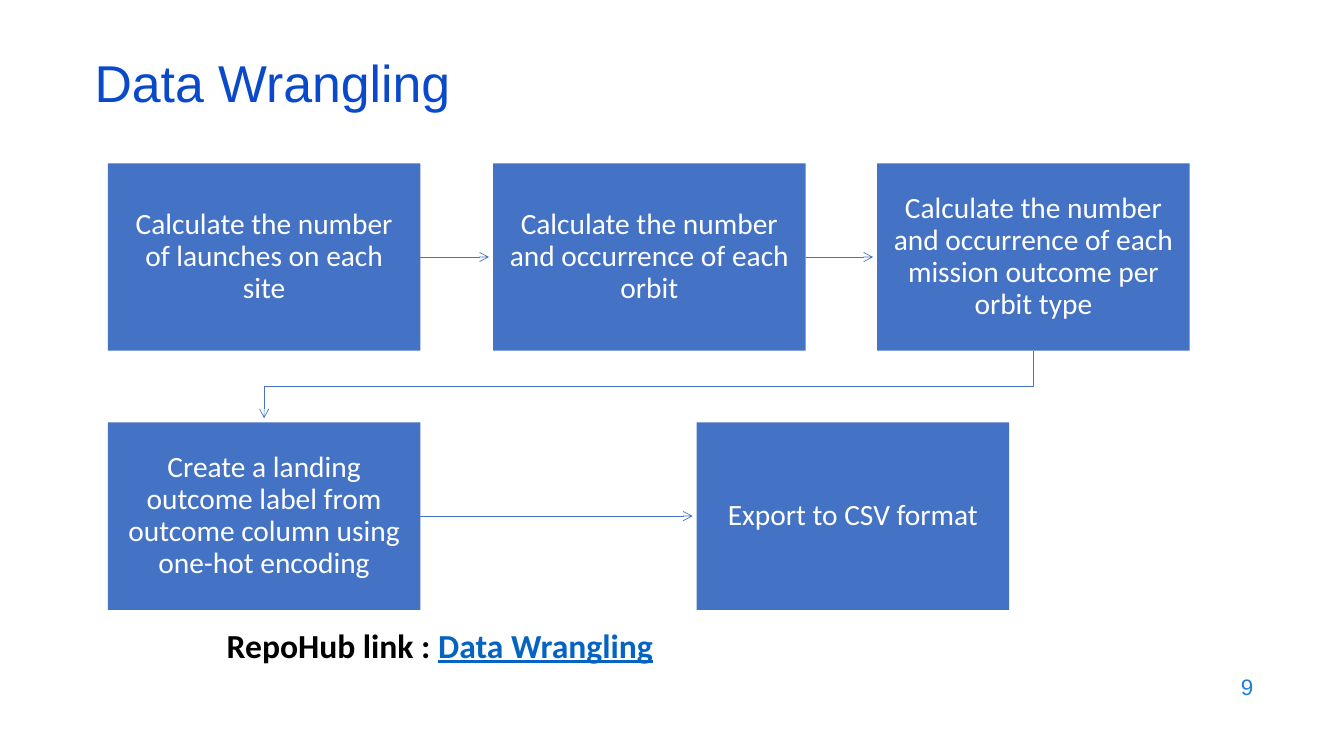
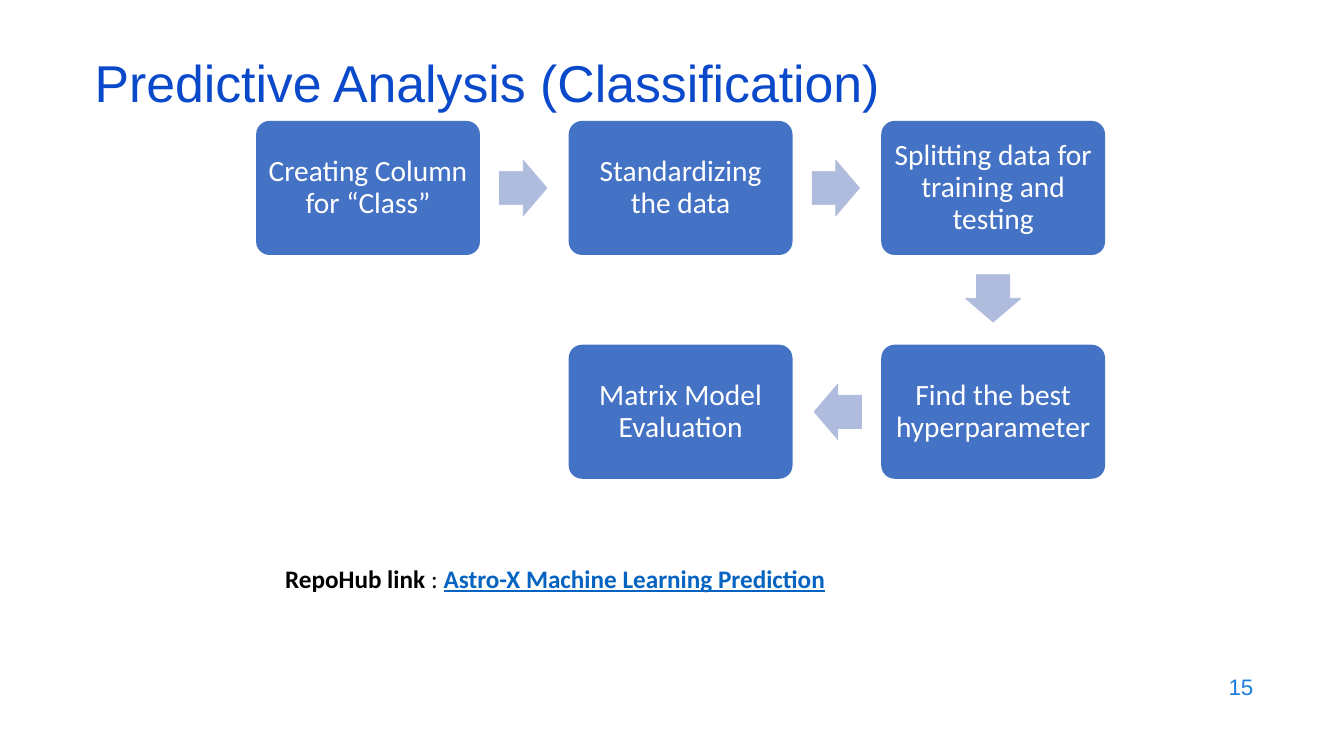
import pptx
import pptx.util
import pptx.dml.color
import pptx.enum.shapes
import pptx.enum.text
import pptx.oxml.ns
import lxml.etree

RGB = pptx.dml.color.RGBColor
SHAPE = pptx.enum.shapes.MSO_SHAPE
CONNECTOR = pptx.enum.shapes.MSO_CONNECTOR
ALIGN = pptx.enum.text.PP_ALIGN
ANCHOR = pptx.enum.text.MSO_ANCHOR
qn = pptx.oxml.ns.qn

TITLE_BLUE = RGB(0x0B, 0x49, 0xCB)
NUMBER_BLUE = RGB(0x1C, 0x7D, 0xDB)
BOX_BLUE = RGB(0x44, 0x72, 0xC4)
ARROW_BLUE = RGB(0xB0, 0xBC, 0xDE)
LINK_BLUE = RGB(0x05, 0x63, 0xC1)
WHITE = RGB(0xFF, 0xFF, 0xFF)
BLACK = RGB(0, 0, 0)

EMU_PER_PX = 9144
SLIDE_W, SLIDE_H = 1333, 750

WRANGLING = {
    "title": "Data Wrangling",
    "number": "9",
    "steps": [
        ("Calculate the number of launches on each site", 107, 162),
        ("Calculate the number and occurrence of each orbit", 489, 162),
        ("Calculate the number and occurrence of each mission outcome per orbit type", 870, 162),
        ("Create a landing outcome label from outcome column using one-hot encoding", 107, 419),
        ("Export to CSV format", 691, 419),
    ],
    "link": [("RepoHub link : ", {"bold": True}),
             ("Data Wrangling", {"bold": True, "underline": True, "color": LINK_BLUE})],
    "link_at": (215, 615, 708, 50),
    "link_size": 24,
}
PREDICTION = {
    "title": "Predictive Analysis (Classification)",
    "number": "15",
    "steps": [
        ("Creating Column for “Class”", 0, 0),
        ("Standardizing the data", 1, 0),
        ("Splitting data for training and testing", 2, 0),
        ("Find the best hyperparameter", 2, 1),
        ("Matrix Model Evaluation", 1, 1),
    ],
    "link": [("RepoHub link ", {"bold": True}), (": ", {}),
             ("Astro-X Machine Learning Prediction",
              {"bold": True, "underline": True, "color": LINK_BLUE})],
    "link_at": (273, 554, 804, 40),
    "link_size": 18,
}

STEP_W, STEP_H, STEP_INSET = 310, 186, 16
TIP_GAP = 4
CARD_W, CARD_H, CARD_INSET = 222, 133, 8
CARD_LEFT, CARD_TOP = 254, 120
CARD_PITCH_X, CARD_PITCH_Y = 310, 222
ARROW_W, ARROW_H = 47, 55
ARROW_LEAD = 43
TURNS = {(1, 0): 0, (0, 1): 90, (-1, 0): 180}


def px(n):
    return pptx.util.Emu(round(n * EMU_PER_PX))


def write(sp, runs, size, font="Calibri", color=BLACK, align=ALIGN.LEFT,
          anchor=ANCHOR.TOP, spacing=None, inset=None):
    tf = sp.text_frame
    tf.word_wrap = True
    tf.vertical_anchor = anchor
    if inset is not None:
        tf.margin_left = tf.margin_right = tf.margin_top = tf.margin_bottom = px(inset)
    p = tf.paragraphs[0]
    p.alignment = align
    p.line_spacing = spacing
    for text, style in ([(runs, {})] if isinstance(runs, str) else runs):
        r = p.add_run()
        r.text = text
        r.font.name = font
        r.font.size = pptx.util.Pt(size)
        r.font.bold = style.get("bold", False)
        r.font.underline = style.get("underline", False)
        r.font.color.rgb = style.get("color", color)


def add_text(s, at, runs, size, **style):
    sp = s.shapes.add_textbox(*map(px, at))
    write(sp, runs, size, **style)
    return sp


def add_block(s, kind, at, color):
    sp = s.shapes.add_shape(kind, *map(px, at))
    sp.shadow.inherit = False
    sp.fill.solid()
    sp.fill.fore_color.rgb = color
    sp.line.fill.background()
    return sp


def add_step(s, kind, at, text, inset):
    sp = add_block(s, kind, at, BOX_BLUE)
    write(sp, text, 21, color=WHITE, align=ALIGN.CENTER, anchor=ANCHOR.MIDDLE,
          spacing=0.9, inset=inset)
    return sp


def style_arrow(sp):
    sp.line.color.rgb = BOX_BLUE
    sp.line.width = pptx.util.Pt(0.5)
    lxml.etree.SubElement(sp.line._get_or_add_ln(), qn("a:tailEnd"), type="arrow")
    spPr = sp._element.spPr
    if spPr.find(qn("a:effectLst")) is None:
        lxml.etree.SubElement(spPr, qn("a:effectLst"))


def add_straight_arrow(s, source, start, end):
    line = s.shapes.add_connector(CONNECTOR.STRAIGHT, *map(px, start + end))
    line.begin_connect(source, 3)
    style_arrow(line)


def add_bent_arrow(s, points):
    (x, y), *rest = [(px(a), px(b)) for a, b in points]
    path = s.shapes.build_freeform(x, y)
    path.add_line_segments(rest, close=False)
    sp = path.convert_to_shape()
    sp.shadow.inherit = False
    sp.fill.background()
    style_arrow(sp)


def add_slide(prs, content):
    s = prs.slides.add_slide(prs.slide_layouts[6])
    add_text(s, (953, 659, 300, 44), content["number"], 16, font="Arial",
             color=NUMBER_BLUE, align=ALIGN.RIGHT, anchor=ANCHOR.MIDDLE)
    add_text(s, (84, 59, 1150, 60), content["title"], 37, font="Arial",
             color=TITLE_BLUE, anchor=ANCHOR.MIDDLE, spacing=0.7)
    link = add_text(s, content["link_at"], content["link"], content["link_size"])
    link.text_frame.auto_size = pptx.enum.text.MSO_AUTO_SIZE.SHAPE_TO_FIT_TEXT
    return s


def build_wrangling(prs):
    s = add_slide(prs, WRANGLING)
    steps = WRANGLING["steps"]
    boxes = [add_step(s, SHAPE.RECTANGLE, (x, y, STEP_W, STEP_H), text, STEP_INSET)
             for text, x, y in steps]
    for box, (_, x, y), (_, next_x, next_y) in zip(boxes, steps, steps[1:]):
        if y == next_y:
            mid = y + STEP_H / 2
            add_straight_arrow(s, box, (x + STEP_W, mid), (next_x - TIP_GAP, mid))
        else:
            start_x, end_x = x + STEP_W / 2, next_x + STEP_W / 2
            bend = (y + STEP_H + next_y) / 2
            add_bent_arrow(s, [(start_x, y + STEP_H), (start_x, bend),
                               (end_x, bend), (end_x, next_y - TIP_GAP)])


def build_prediction(prs):
    s = add_slide(prs, PREDICTION)
    steps = PREDICTION["steps"]
    for text, col, row in steps:
        at = (CARD_LEFT + col * CARD_PITCH_X, CARD_TOP + row * CARD_PITCH_Y, CARD_W, CARD_H)
        add_step(s, SHAPE.ROUNDED_RECTANGLE, at, text, CARD_INSET).adjustments[0] = 0.1
    for (_, col, row), (_, next_col, next_row) in zip(steps, steps[1:]):
        dx, dy = next_col - col, next_row - row
        x = CARD_LEFT + col * CARD_PITCH_X + CARD_W / 2 + dx * (CARD_W / 2 + ARROW_LEAD)
        y = CARD_TOP + row * CARD_PITCH_Y + CARD_H / 2 + dy * (CARD_H / 2 + ARROW_LEAD)
        at = (x - ARROW_W / 2, y - ARROW_H / 2, ARROW_W, ARROW_H)
        arrow = add_block(s, SHAPE.RIGHT_ARROW, at, ARROW_BLUE)
        arrow.line.color.rgb = ARROW_BLUE
        arrow.line.width = pptx.util.Pt(0.5)
        arrow.adjustments[0] = 0.6
        arrow.adjustments[1] = 0.5
        arrow.rotation = TURNS[dx, dy]


def main():
    prs = pptx.Presentation()
    prs.slide_width, prs.slide_height = px(SLIDE_W), px(SLIDE_H)
    build_wrangling(prs)
    build_prediction(prs)
    prs.save("out.pptx")


if __name__ == "__main__":
    main()
